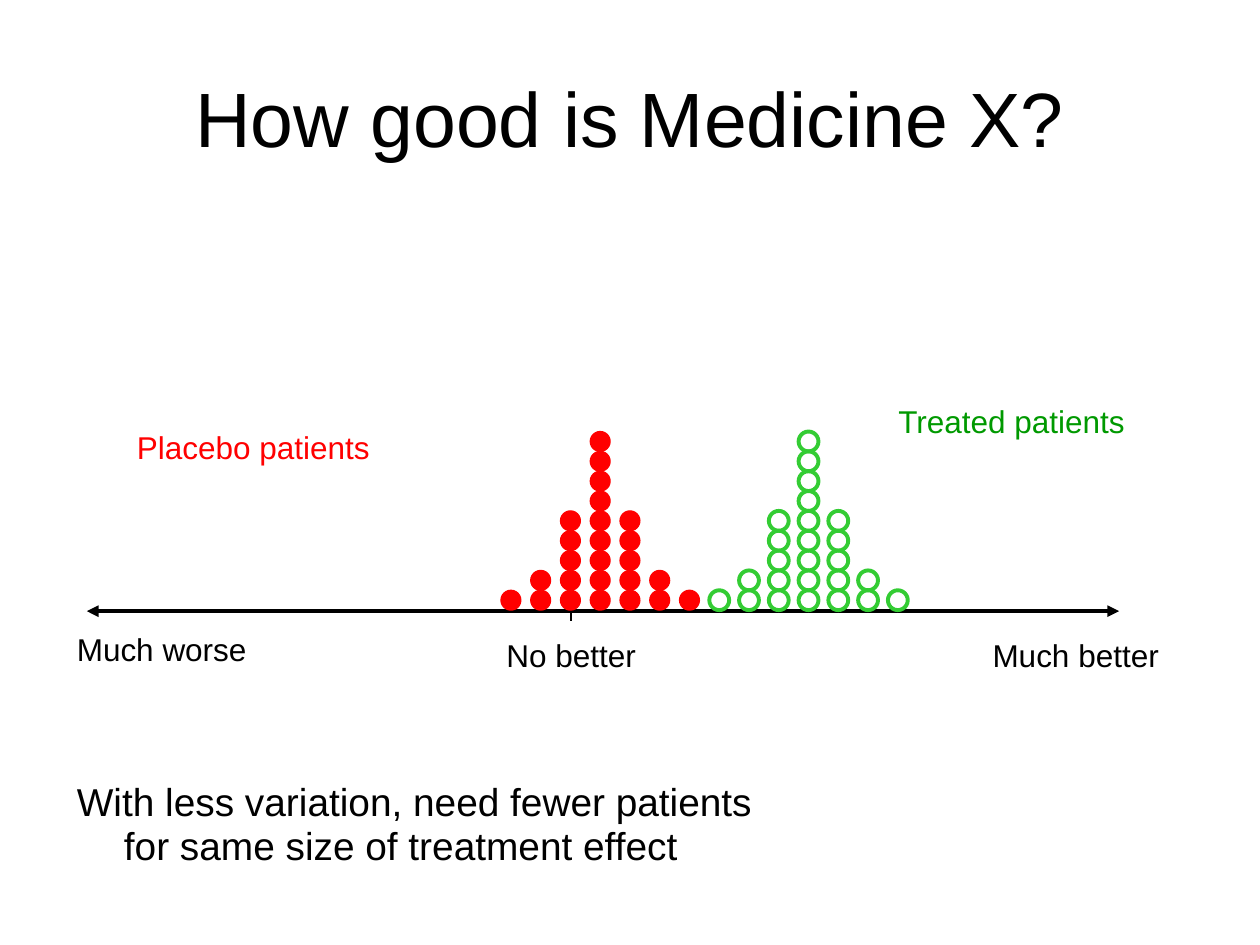
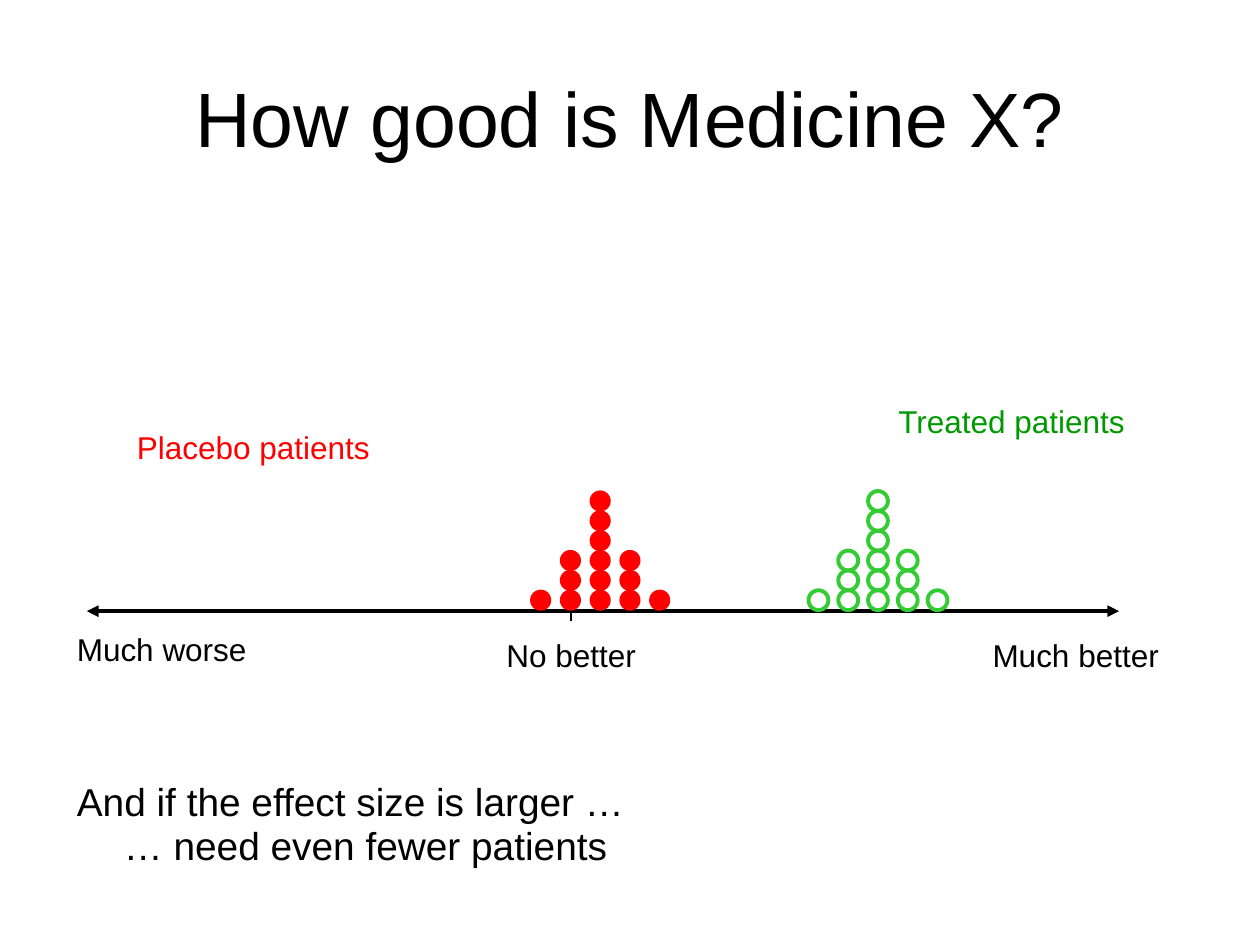
from dataclasses import dataclass

from lxml.etree import SubElement
from pptx import Presentation
from pptx.dml.color import RGBColor
from pptx.enum.shapes import MSO_CONNECTOR, MSO_SHAPE
from pptx.enum.text import MSO_ANCHOR, MSO_AUTO_SIZE, PP_ALIGN
from pptx.oxml.ns import qn
from pptx.slide import Slide
from pptx.text.text import TextFrame
from pptx.util import Cm, Pt

COLORS = {
    "text": "000000",
    "placebo": "FF0000",
    "treated": "33CC33",
    "treated_label": "009900",
}
FONT = "Arial"
TITLE = "How good is Medicine X?"
DOT_SIZE = 0.4
COLUMN_STEP = 0.6
ROW_STEP = 0.4
BASE_TOP = 11.9
AXIS_Y = 12.32


@dataclass(frozen=True)
class Label:
    text: str
    left: float
    top: float
    width: float
    color: str = "text"


@dataclass(frozen=True)
class AxisLine:
    x1: float
    y1: float
    x2: float
    y2: float
    weight: float
    arrows: bool = False


@dataclass(frozen=True)
class DotPlot:
    left: float
    counts: tuple[int, ...]
    color: str
    weight: float
    filled: bool


@dataclass(frozen=True)
class TrialSlide:
    counts: tuple[int, ...]
    placebo_left: float
    treated_left: float
    message: tuple[str, str]


LABELS = (
    Label("Much worse", 1.3, 12.57, 3.94),
    Label("No better", 9.96, 12.7, 3.12),
    Label("Much better", 19.76, 12.7, 3.86),
    Label("Treated patients", 17.86, 7.98, 5.08, "treated_label"),
    Label("Placebo patients", 2.51, 8.51, 5.21, "placebo"),
)
AXIS_LINES = (
    AxisLine(1.75, AXIS_Y, 22.56, AXIS_Y, 2.25, arrows=True),
    AxisLine(11.51, AXIS_Y - 0.2, 11.51, AXIS_Y + 0.2, 0.75),
)
SLIDES = (
    TrialSlide(
        (1, 2, 5, 9, 5, 2, 1), 10.1, 14.3,
        ("With less variation, need fewer patients", "for same size of treatment effect"),
    ),
    TrialSlide(
        (1, 3, 6, 3, 1), 10.7, 16.3,
        ("And if the effect size is larger …", "… need even fewer patients"),
    ),
)


def rgb(name: str) -> RGBColor:
    return RGBColor.from_string(COLORS[name])


def write(tf: TextFrame, lines: tuple[str, ...], size: float, color: str = "text") -> None:
    tf.text = "\n".join(lines)
    for p in tf.paragraphs:
        p.font.name = FONT
        p.font.size = Pt(size)
        p.font.color.rgb = rgb(color)


def add_title(s: Slide) -> None:
    sp = s.shapes.title
    sp.left, sp.top, sp.width, sp.height = Cm(1.27), Cm(0.76), Cm(22.86), Cm(3.18)
    tf = sp.text_frame
    write(tf, (TITLE,), 44)
    tf.auto_size = MSO_AUTO_SIZE.NONE
    tf.vertical_anchor = MSO_ANCHOR.MIDDLE
    tf.paragraphs[0].alignment = PP_ALIGN.CENTER


def add_label(s: Slide, label: Label) -> None:
    sp = s.shapes.add_textbox(Cm(label.left), Cm(label.top), Cm(label.width), Cm(1.02))
    write(sp.text_frame, (label.text,), 18, label.color)
    sp.text_frame.word_wrap = False
    sp.text_frame.auto_size = MSO_AUTO_SIZE.SHAPE_TO_FIT_TEXT


def add_axis_line(s: Slide, line: AxisLine) -> None:
    sp = s.shapes.add_connector(
        MSO_CONNECTOR.STRAIGHT, Cm(line.x1), Cm(line.y1), Cm(line.x2), Cm(line.y2)
    )
    sp.line.color.rgb = rgb("text")
    sp.line.width = Pt(line.weight)
    if line.arrows:
        ln = sp.line._get_or_add_ln()
        for end in ("a:headEnd", "a:tailEnd"):
            SubElement(ln, qn(end), type="triangle")
    SubElement(sp._element.spPr, qn("a:effectLst"))


def add_dot_plot(s: Slide, plot: DotPlot) -> None:
    for column, count in enumerate(plot.counts):
        for row in range(count):
            sp = s.shapes.add_shape(
                MSO_SHAPE.OVAL,
                Cm(plot.left + column * COLUMN_STEP),
                Cm(BASE_TOP - row * ROW_STEP),
                Cm(DOT_SIZE),
                Cm(DOT_SIZE),
            )
            sp.shadow.inherit = False
            sp.line.color.rgb = rgb(plot.color)
            sp.line.width = Pt(plot.weight)
            if plot.filled:
                sp.fill.solid()
                sp.fill.fore_color.rgb = rgb(plot.color)
            else:
                sp.fill.background()


def add_message(s: Slide, lines: tuple[str, str]) -> None:
    sp = s.shapes.add_textbox(Cm(1.3), Cm(15.8), Cm(22.86), Cm(1.8))
    tf = sp.text_frame
    tf.word_wrap = True
    write(tf, lines, 22.2)
    for p in tf.paragraphs:
        p.line_spacing = 0.7
    second = tf.paragraphs[1]
    second.space_before = Pt(6.7)
    second._p.get_or_add_pPr().set("marL", str(Cm(0.95)))


def build_slide(prs: Presentation, trial: TrialSlide) -> None:
    s = prs.slides.add_slide(prs.slide_layouts[5])
    add_title(s)
    for line in AXIS_LINES:
        add_axis_line(s, line)
    for label in LABELS:
        add_label(s, label)
    add_dot_plot(s, DotPlot(trial.placebo_left, trial.counts, "placebo", 0.75, True))
    add_dot_plot(s, DotPlot(trial.treated_left, trial.counts, "treated", 2.25, False))
    add_message(s, trial.message)


def main() -> None:
    prs = Presentation()
    prs.slide_width, prs.slide_height = Cm(25.4), Cm(19.05)
    for trial in SLIDES:
        build_slide(prs, trial)
    prs.save("out.pptx")


if __name__ == "__main__":
    main()
